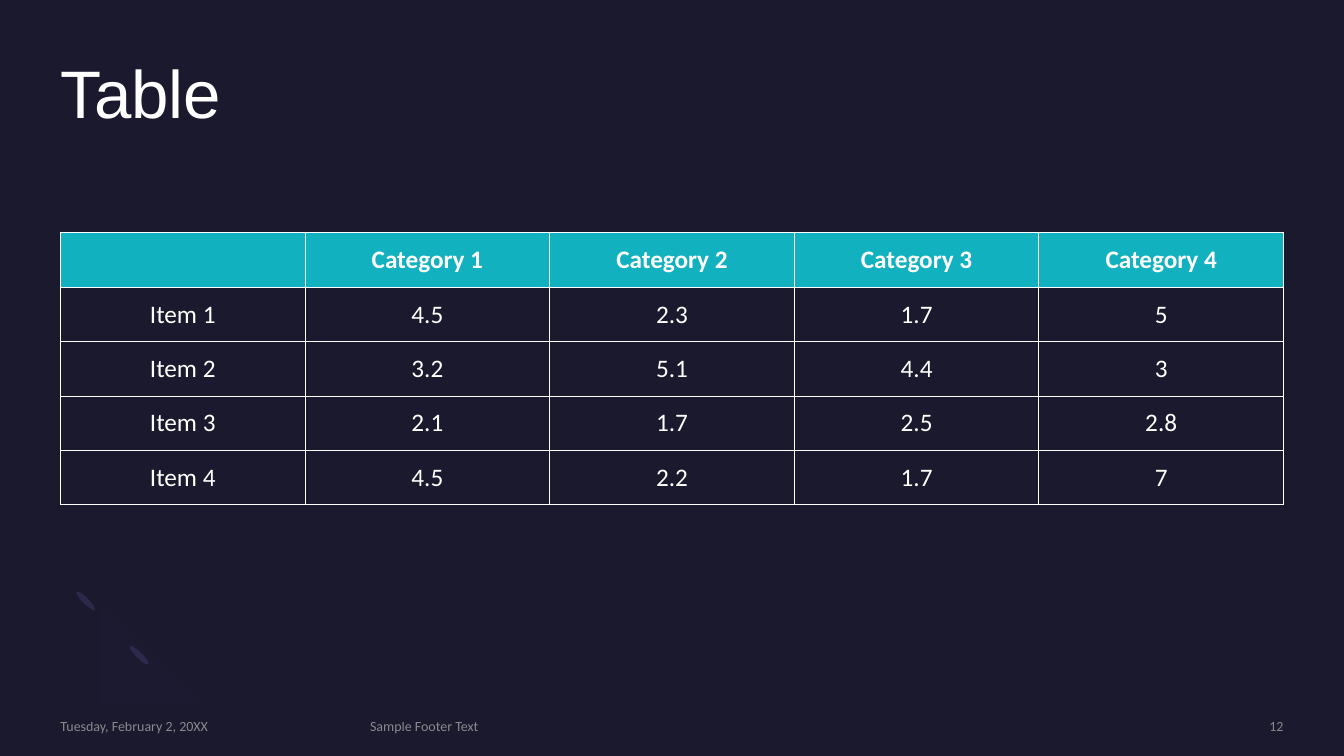
import pptx
import pptx.util
import pptx.oxml
import pptx.oxml.ns
import pptx.dml.color
import pptx.enum.text
import pptx.enum.shapes
from lxml import etree

Inches, Pt = pptx.util.Inches, pptx.util.Pt
RGBColor = pptx.dml.color.RGBColor
PP_ALIGN = pptx.enum.text.PP_ALIGN
ANCHOR = pptx.enum.text.MSO_ANCHOR
qn = pptx.oxml.ns.qn

TITLE = "Table"
ROWS = [
    ("", "Category 1", "Category 2", "Category 3", "Category 4"),
    ("Item 1", "4.5", "2.3", "1.7", "5"),
    ("Item 2", "3.2", "5.1", "4.4", "3"),
    ("Item 3", "2.1", "1.7", "2.5", "2.8"),
    ("Item 4", "4.5", "2.2", "1.7", "7"),
]
# text, left, width, alignment
FOOTERS = [
    ("Tuesday, February 2, 20XX", 0.6, 2.88, PP_ALIGN.LEFT),
    ("Sample Footer Text", 3.67, 6.98, PP_ALIGN.LEFT),
    ("12", 10.88, 1.85, PP_ALIGN.RIGHT),
]
RING_TIPS = [(1.35, 6.37), (0.82, 5.83)]
# each side of the half ring: a start point, then Bezier curves
RING_OUTER = [(0.99, 6), [(0.87, 6.11), (0.86, 6.29), (0.96, 6.38)],
              [(1.06, 6.48), (1.23, 6.47), (1.35, 6.36)]]
RING_INNER = [(1.52, 6.54), [(1.3, 6.76), (0.95, 6.79), (0.76, 6.59)],
              [(0.56, 6.39), (0.58, 6.05), (0.81, 5.82)]]

BACKGROUND = RGBColor(0x1B, 0x19, 0x2E)
WHITE = RGBColor(0xFF, 0xFF, 0xFF)
TEAL = RGBColor(0x12, 0xB1, 0xBF)
GREY = RGBColor(0xA6, 0xA6, 0xA6)
TIP = RGBColor(0x2C, 0x28, 0x4A)
RING = RGBColor(0x77, 0x71, 0xB2)

W, H, MARGIN = 13.33, 7.5, 0.6
CONTENT_W = W - 2 * MARGIN
TABLE_TOP, ROW_H = 2.31, 0.54
FOOTER_TOP, FOOTER_H = 7.12, 0.17


def set_alpha(parent, percent):
    """Make the solid fill found under an element partly transparent."""
    color = parent.find(".//" + qn("a:srgbClr"))
    etree.SubElement(color, qn("a:alpha"), val=str(percent * 1000))


def style(p, size, font, color, align, bold=False):
    """Format a paragraph and its runs."""
    p.alignment = align
    for r in p.runs:
        r.font.size, r.font.name, r.font.bold = Pt(size), font, bold
        r.font.color.rgb = color


def frame(tf, anchor):
    """Give a text frame no margins and a fixed size."""
    tf.word_wrap = True
    tf.auto_size = pptx.enum.text.MSO_AUTO_SIZE.NONE
    tf.vertical_anchor = anchor
    tf.margin_left = tf.margin_right = tf.margin_top = tf.margin_bottom = 0


def paint(sp, color):
    """Fill a shape, without outline or shadow."""
    sp.shadow.inherit = False
    sp.fill.solid()
    sp.fill.fore_color.rgb = color
    sp.line.fill.background()


def curve_points(side, steps=12):
    """Sample a start point and its Bezier curves."""
    points = [side[0]]
    for a, b, c in side[1:]:
        start = points[-1]
        for i in range(1, steps + 1):
            t = i / steps
            u = 1 - t
            points.append(tuple(
                u**3 * start[k] + 3 * u * u * t * a[k] + 3 * u * t * t * b[k] + t**3 * c[k]
                for k in (0, 1)))
    return points


def add_ring(s):
    """Draw the faint half ring and the tips at its two ends."""
    for x, y in RING_TIPS:
        tip = s.shapes.add_shape(pptx.enum.shapes.MSO_SHAPE.OVAL,
                                 Inches(x), Inches(y), Inches(0.06), Inches(0.26))
        tip.rotation = 135
        paint(tip, TIP)
    points = curve_points(RING_OUTER) + curve_points(RING_INNER)
    builder = s.shapes.build_freeform(*points[0], scale=Inches(1))
    builder.add_line_segments(points[1:], close=True)
    ring = builder.convert_to_shape()
    paint(ring, RING)
    set_alpha(ring.fill._xPr.find(qn("a:solidFill")), 2)


def add_borders(cell, color, width):
    """Draw all four borders of a cell."""
    tcPr = cell._tc.get_or_add_tcPr()
    for side in ("lnL", "lnR", "lnT", "lnB"):
        ln = etree.SubElement(tcPr, qn("a:" + side), w=str(Pt(width)))
        fill = etree.SubElement(ln, qn("a:solidFill"))
        etree.SubElement(fill, qn("a:srgbClr"), val=str(color))


def add_data_table(s):
    """Add the table with its teal header row."""
    table = s.shapes.add_table(len(ROWS), len(ROWS[0]), Inches(MARGIN), Inches(TABLE_TOP),
                               Inches(CONTENT_W), Inches(ROW_H * len(ROWS))).table
    table.horz_banding = False
    for i, row in enumerate(ROWS):
        for j, text in enumerate(row):
            cell = table.cell(i, j)
            cell.text_frame.text = text
            cell.vertical_anchor = ANCHOR.MIDDLE
            style(cell.text_frame.paragraphs[0], 18, "Calibri", WHITE, PP_ALIGN.CENTER, i == 0)
            add_borders(cell, WHITE, 0.75)
            if i == 0:
                cell.fill.solid()
                cell.fill.fore_color.rgb = TEAL
            else:
                cell.fill.background()


def add_footer(s, text, left, width, align):
    """Add one small grey text at the foot of the slide."""
    box = s.shapes.add_textbox(Inches(left), Inches(FOOTER_TOP), Inches(width), Inches(FOOTER_H))
    tf = box.text_frame
    frame(tf, ANCHOR.MIDDLE)
    tf.text = text
    p = tf.paragraphs[0]
    style(p, 10, "Calibri", GREY, align)
    set_alpha(p.runs[0]._r, 80)


prs = pptx.Presentation()
prs.slide_width, prs.slide_height = Inches(W), Inches(H)
s = prs.slides.add_slide(prs.slide_layouts[5])
s.background.fill.solid()
s.background.fill.fore_color.rgb = BACKGROUND

add_ring(s)
title = s.shapes.title
title.left, title.top = Inches(MARGIN), Inches(MARGIN)
title.width, title.height = Inches(CONTENT_W), Inches(1.46)
frame(title.text_frame, ANCHOR.TOP)
title.text_frame.text = TITLE
heading = title.text_frame.paragraphs[0]
heading.line_spacing = 0.9
style(heading, 48, "Arial", WHITE, PP_ALIGN.LEFT)
add_data_table(s)
for footer in FOOTERS:
    add_footer(s, *footer)

prs.save("out.pptx")
